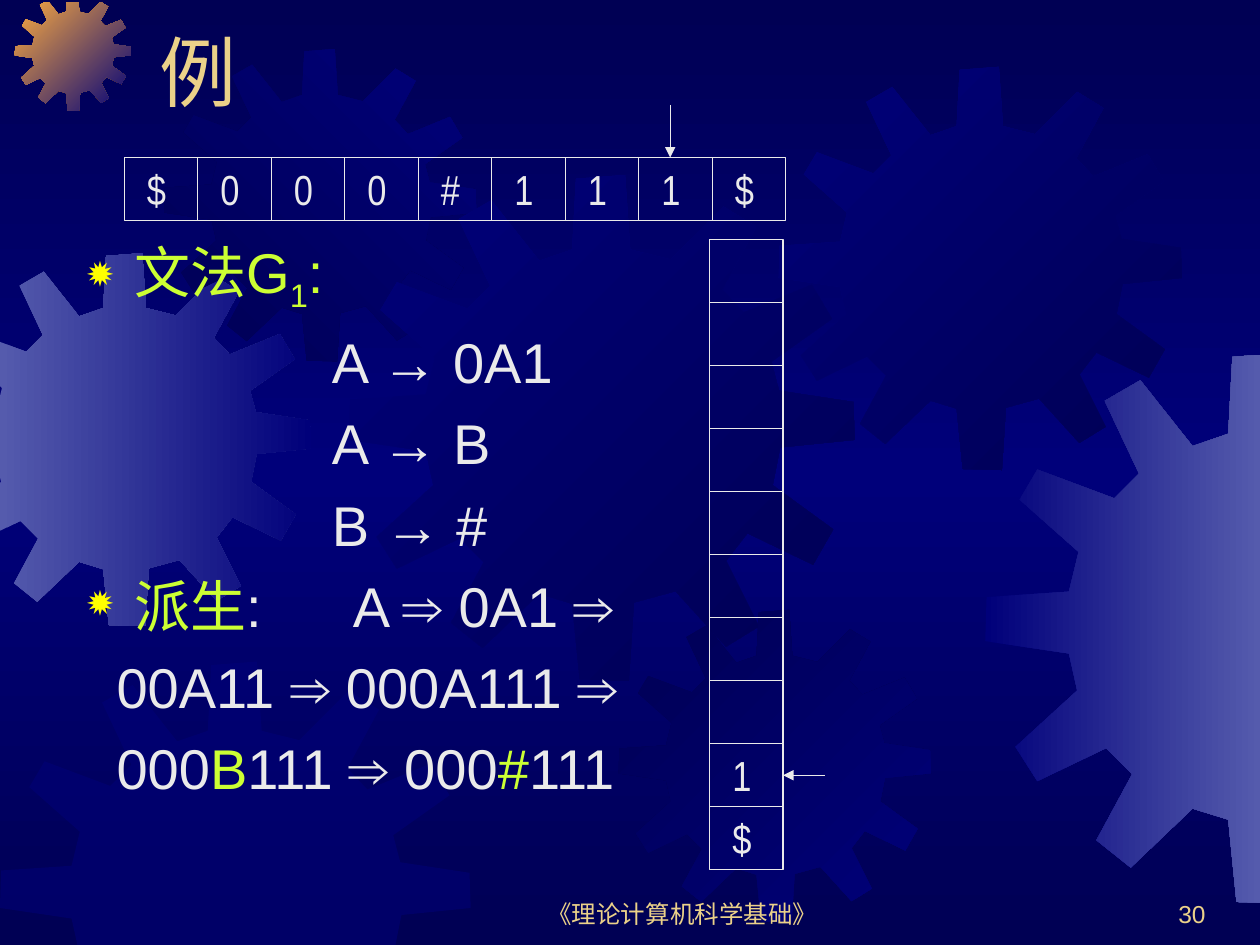
from copy import deepcopy
from dataclasses import dataclass

from lxml import etree
from pptx import Presentation
from pptx.dml.color import RGBColor
from pptx.enum.shapes import MSO_CONNECTOR, MSO_SHAPE
from pptx.enum.text import MSO_ANCHOR, PP_ALIGN
from pptx.oxml.ns import qn
from pptx.util import Pt

RECTANGLE = MSO_SHAPE.RECTANGLE
STRAIGHT = MSO_CONNECTOR.STRAIGHT
TOP, BOTTOM = MSO_ANCHOR.TOP, MSO_ANCHOR.BOTTOM
LEFT, CENTER, RIGHT = PP_ALIGN.LEFT, PP_ALIGN.CENTER, PP_ALIGN.RIGHT
RIGHT_SIDE = 3


@dataclass(frozen=True)
class Theme:
    navy: str = "000054"
    blue: str = "00007A"
    lavender: str = "555BAD"
    orange: str = "FCAB40"
    gold: str = "EBD189"
    lime: str = "CCFF33"
    light: str = "EAEAEA"
    yellow: str = "FFFF00"
    font: str = "Arial"
    cell_font: str = "Arial Narrow"
    title_size: float = 44
    body_size: float = 32
    cell_size: float = 24
    footer_size: float = 14
    line_width: float = 0.75


THEME = Theme()


@dataclass(frozen=True)
class Gear:
    left: float
    top: float
    size: float
    start: str
    end: str
    angle: int = 0
    opacity: int = 100


@dataclass(frozen=True)
class Segment:
    text: str
    color: str = THEME.light
    subscript: bool = False


@dataclass(frozen=True)
class Line:
    segments: tuple[Segment, ...]
    margin: float
    bullet: bool = False
    tab: float = 0


# Gear outline on a square of GEAR_UNITS
GEAR_UNITS = 401
GEAR_OUTLINE = [
    (255, 67), (223, 59), (219, 0), (180, 3), (177, 59), (151, 68), (113, 20), (87, 35),
    (112, 88), (94, 106), (38, 85), (25, 107), (68, 145), (61, 174), (1, 178), (0, 210),
    (61, 219), (67, 246), (22, 287), (38, 312), (88, 288), (107, 307), (81, 355), (106, 375),
    (151, 332), (177, 340), (183, 400), (222, 401), (226, 339), (259, 330), (299, 374), (325, 358),
    (299, 306), (316, 284), (368, 309), (384, 281), (336, 246), (342, 216), (401, 210), (400, 180),
    (341, 171), (335, 148), (383, 114), (367, 87), (313, 109), (296, 91), (323, 41), (297, 25),
]
GEARS = [
    Gear(-35, 144.7, 213, THEME.lavender, THEME.blue),
    Gear(8.5, -3, 66.2, THEME.orange, THEME.blue, 45),
    Gear(93.8, 28, 178.5, THEME.navy, THEME.blue, 315),
    Gear(199.4, 100, 289, THEME.blue, THEME.navy, 45),
    Gear(0, 378, 269, THEME.blue, THEME.blue, opacity=50),
    Gear(353.5, 348.5, 178.5, THEME.navy, THEME.blue, 45),
    Gear(445, 38.2, 230.4, THEME.blue, THEME.navy, 45),
    Gear(563, 201.6, 314.6, THEME.blue, THEME.lavender),
]
# Axis, limit and side kept (1 above the limit, -1 below it)
CLIP_EDGES = [(0, 0, 1), (0, 720, -1), (1, 1.5, 1), (1, 540, -1)]

BODY = [
    Line((Segment("文法G", THEME.lime), Segment("1", THEME.lime, True),
          Segment(":", THEME.lime)), 27, bullet=True),
    Line((Segment("A → 0A1"),), 140),
    Line((Segment("A → B"),), 140),
    Line((Segment("B → #"),), 140),
    Line((Segment("派生", THEME.lime), Segment(":\tA ⇒ 0A1 ⇒")), 27, bullet=True, tab=152),
    Line((Segment("00A11 ⇒ 000A111 ⇒"),), 17),
    Line((Segment("000"), Segment("B", THEME.lime), Segment("111 ⇒ 000"),
          Segment("#", THEME.lime), Segment("111")), 17),
]
CELL_WIDTH, CELL_HEIGHT = 42, 36
TAPE = "$000#111$"
STACK = [""] * 8 + ["1", "$"]


def rgb(color: str) -> RGBColor:
    return RGBColor.from_string(color)


def set_gradient(fill, start: str, end: str, angle: int) -> None:
    fill.gradient()
    fill.gradient_angle = (360 - angle) % 360
    for stop, color, position in zip(fill.gradient_stops, (start, end), (0, 1)):
        stop.color.rgb = rgb(color)
        stop.position = position


def clip(points: list, axis: int, limit: float, side: int) -> list:
    kept = []
    for previous, current in zip(points[-1:] + points[:-1], points):
        before, after = (side * (point[axis] - limit) for point in (previous, current))
        if before * after < 0:
            share = before / (before - after)
            kept.append(tuple(a + share * (b - a) for a, b in zip(previous, current)))
        if after >= 0:
            kept.append(current)
    return kept


def draw_gear(slide, gear: Gear) -> None:
    scale = gear.size / GEAR_UNITS
    points = [(gear.left + x * scale, gear.top + y * scale) for x, y in GEAR_OUTLINE]
    for edge in CLIP_EDGES:
        points = clip(points, *edge)
    corners = [(Pt(x), Pt(y)) for x, y in points]
    builder = slide.shapes.build_freeform(*corners[0])
    builder.add_line_segments(corners[1:], close=True)
    shape = builder.convert_to_shape()
    shape.shadow.inherit = False
    shape.line.fill.background()
    if gear.opacity < 100:
        shape.fill.solid()
        shape.fill.fore_color.rgb = rgb(gear.start)
        color = next(shape._element.spPr.iter(qn("a:srgbClr")))
        etree.SubElement(color, qn("a:alpha"), val=str(gear.opacity * 1000))
    else:
        set_gradient(shape.fill, gear.start, gear.end, gear.angle)


def add_run(paragraph, text: str, size: float, color: str, font: str = THEME.font):
    run = paragraph.add_run()
    run.text = text
    run.font.size, run.font.name = Pt(size), font
    run.font.color.rgb = rgb(color)
    return run


def add_box(slide, left: float, top: float, width: float, height: float, anchor=TOP):
    box = slide.shapes.add_textbox(Pt(left), Pt(top), Pt(width), Pt(height))
    box.text_frame.word_wrap = True
    box.text_frame.vertical_anchor = anchor
    return box.text_frame


def add_label(slide, bounds: tuple, text: str, size: float, alignment) -> None:
    paragraph = add_box(slide, *bounds, anchor=BOTTOM).paragraphs[0]
    paragraph.alignment = alignment
    add_run(paragraph, text, size, THEME.gold)


def write_line(paragraph, line: Line) -> None:
    properties = paragraph._p.get_or_add_pPr()
    properties.set("marL", str(Pt(line.margin)))
    properties.set("indent", str(-Pt(line.margin) if line.bullet else 0))
    if line.bullet:
        color = etree.SubElement(properties, qn("a:buClr"))
        etree.SubElement(color, qn("a:srgbClr"), val=THEME.yellow)
        etree.SubElement(properties, qn("a:buSzPct"), val="80000")
        etree.SubElement(properties, qn("a:buChar"), char="✹")
    if line.tab:
        tabs = etree.SubElement(properties, qn("a:tabLst"))
        etree.SubElement(tabs, qn("a:tab"), pos=str(Pt(line.tab)), algn="l")
    for segment in line.segments:
        run = add_run(paragraph, segment.text, THEME.body_size, segment.color)
        if segment.subscript:
            run.font._element.set("baseline", "-25000")


def draw_cell(slide, left: float, top: float, symbol: str):
    cell = slide.shapes.add_shape(RECTANGLE, Pt(left), Pt(top), Pt(CELL_WIDTH), Pt(CELL_HEIGHT))
    cell.shadow.inherit = False
    cell.fill.background()
    cell.line.color.rgb, cell.line.width = rgb(THEME.light), Pt(THEME.line_width)
    if symbol:
        frame = cell.text_frame
        frame.vertical_anchor = TOP
        frame.margin_left, frame.margin_right = Pt(13), 0
        frame.paragraphs[0].alignment = LEFT
        add_run(frame.paragraphs[0], symbol, THEME.cell_size, THEME.light, THEME.cell_font)
    return cell


def draw_arrow(slide, start: tuple, end: tuple, arrow_end: str):
    arrow = slide.shapes.add_connector(STRAIGHT, *(Pt(value) for value in start + end))
    arrow.line.color.rgb, arrow.line.width = rgb(THEME.light), Pt(THEME.line_width)
    etree.SubElement(arrow.line._get_or_add_ln(), qn(arrow_end), type="triangle")
    etree.SubElement(arrow._element.spPr, qn("a:effectLst"))
    return arrow


def main() -> None:
    presentation = Presentation()
    presentation.slide_width, presentation.slide_height = Pt(720), Pt(540)
    slide = presentation.slides.add_slide(presentation.slide_layouts[6])

    # Background: dark, brighter in the middle, with gears
    set_gradient(slide.background.fill, THEME.navy, THEME.blue, 90)
    stops = next(slide._element.iter(qn("a:gsLst")))
    stops.append(deepcopy(stops[0]))
    for stop, position in zip(stops, (0, 50000, 100000)):
        stop.set("pos", str(position))
    for gear in GEARS:
        draw_gear(slide, gear)

    # Footer and title
    add_label(slide, (276, 498, 228, 36), "《理论计算机科学基础》", THEME.footer_size, CENTER)
    add_label(slide, (546, 498, 150, 36), "30", THEME.footer_size, RIGHT)
    add_label(slide, (84, -19.5, 612, 90), "例", THEME.title_size, LEFT)

    # Grammar and derivation
    frame = add_box(slide, 42.5, 132, 417, 366)
    for index, line in enumerate(BODY):
        paragraph = frame.add_paragraph() if index else frame.paragraphs[0]
        write_line(paragraph, line)
        if index:
            paragraph.space_before = Pt(8)

    # Input tape with its reading head
    for index, symbol in enumerate(TAPE):
        draw_cell(slide, 71 + index * CELL_WIDTH, 90, symbol)
    draw_arrow(slide, (383, 60), (383, 90), "a:tailEnd")

    # Stack with its top marker
    cells = [draw_cell(slide, 405.5, 137 + index * CELL_HEIGHT, symbol)
             for index, symbol in enumerate(STACK)]
    marker = draw_arrow(slide, (447.5, 443), (471.5, 443), "a:headEnd")
    marker.begin_connect(cells[-2], RIGHT_SIDE)

    presentation.save("out.pptx")


if __name__ == "__main__":
    main()
